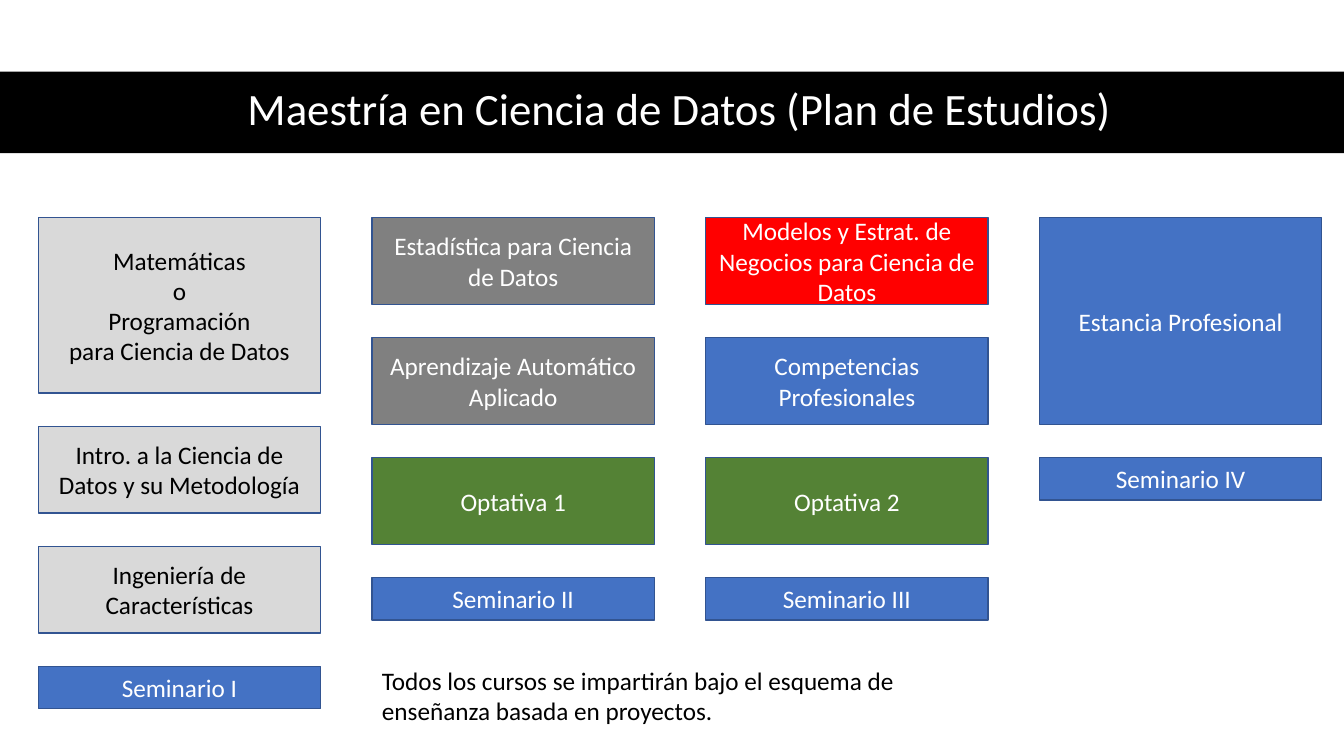
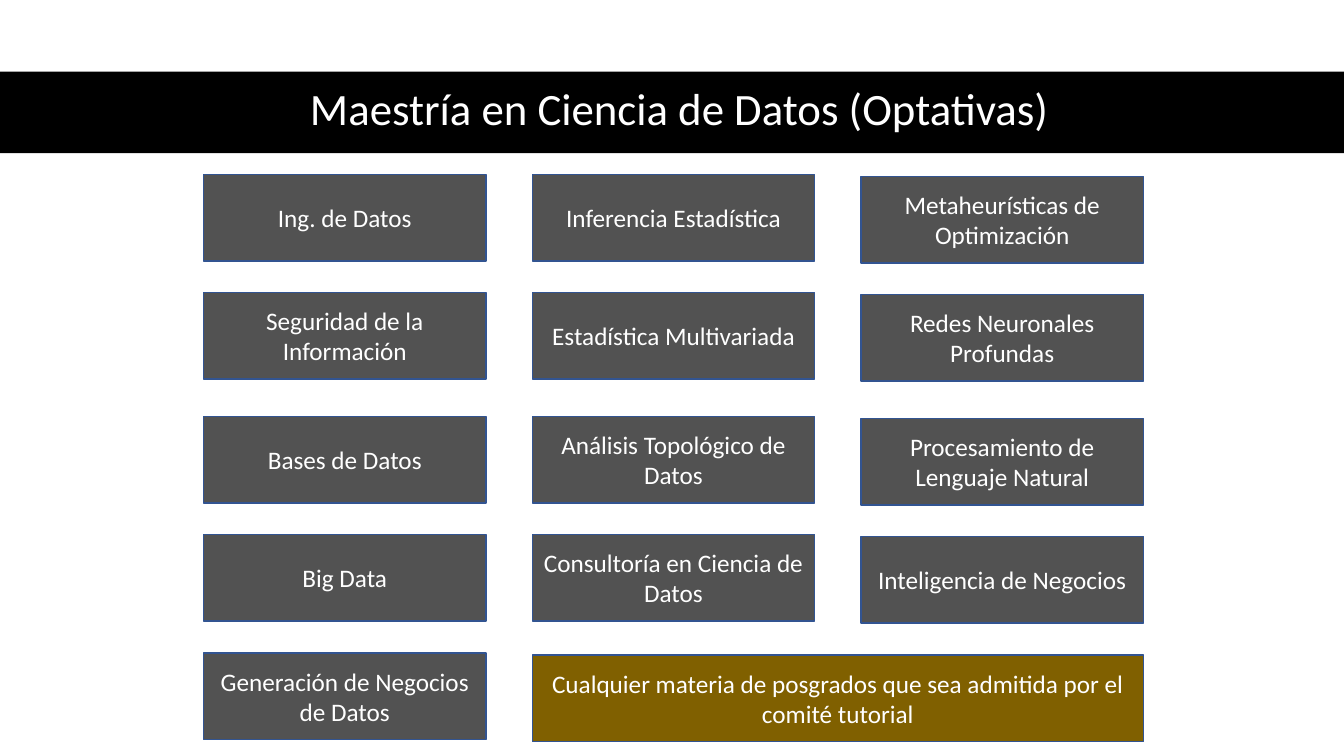
from dataclasses import dataclass

import pptx
import pptx.dml.color
import pptx.enum.shapes
import pptx.enum.text
import pptx.presentation
import pptx.shapes.autoshape
import pptx.slide
import pptx.util

ALIGN = pptx.enum.text.PP_ALIGN
ANCHOR = pptx.enum.text.MSO_ANCHOR


@dataclass(frozen=True)
class Theme:
    font: str = "Calibri"
    title_size: int = 32
    body_size: int = 18
    black: str = "000000"
    white: str = "FFFFFF"
    outline: str = "325491"
    basics: str = "D9D9D9"
    core: str = "808080"
    elective: str = "548235"
    business: str = "FF0000"
    practice: str = "4472C4"
    option: str = "525252"
    open_option: str = "806000"


@dataclass(frozen=True)
class Box:
    left: float
    top: float
    width: float
    height: float

    def emu(self) -> tuple[int, ...]:
        return tuple(pptx.util.Inches(v) for v in
                     (self.left, self.top, self.width, self.height))


@dataclass(frozen=True)
class Course:
    text: str
    fill: str
    height: float = 0.86
    color: str = "FFFFFF"


THEME = Theme()
SLIDE_W, SLIDE_H = 13.33, 7.5
BAND = Box(0, 0.71, SLIDE_W, 0.81)
TITLE = Box(0.61, 0.7, 12.26, 0.81)
CARD_W, CARD_H = 2.8, 0.86

# Study plan: one stack of courses per semester
PLAN_LEFT, PLAN_TOP, PLAN_PITCH, PLAN_GAP = 0.38, 2.16, 3.31, 0.33
SEMINAR_H = 0.42
NOTE = Box(PLAN_LEFT + PLAN_PITCH, 6.55, 6, 0.71)
NOTE_TEXT = ("Todos los cursos se impartirán bajo el esquema de enseñanza "
             "basada en proyectos.")


def basic(text: str, height: float = CARD_H) -> Course:
    return Course(text, THEME.basics, height, THEME.black)


def seminar(number: str) -> Course:
    return Course(f"Seminario {number}", THEME.practice, SEMINAR_H)


SEMESTERS = [
    [basic("Matemáticas\no\nProgramación\npara Ciencia de Datos", 1.74),
     basic("Intro. a la Ciencia de Datos y su Metodología"),
     basic("Ingeniería de Características"),
     seminar("I")],
    [Course("Estadística para Ciencia de Datos", THEME.core),
     Course("Aprendizaje Automático Aplicado", THEME.core),
     Course("Optativa 1", THEME.elective),
     seminar("II")],
    [Course("Modelos y Estrat. de Negocios para Ciencia de Datos", THEME.business),
     Course("Competencias Profesionales", THEME.practice),
     Course("Optativa 2", THEME.elective),
     seminar("III")],
    [Course("Estancia Profesional", THEME.practice, 2 * CARD_H + PLAN_GAP),
     seminar("IV")],
]

# Electives: a grid whose right-hand part sits slightly lower
OPTION_LEFT, OPTION_PITCH, OPTION_DROP = 2.02, 3.26, 0.02
OPTION_TOPS = (1.73, 2.9, 4.13, 5.3, 6.48)
OPTIONS = [
    ["Ing. de Datos", "Seguridad de la Información", "Bases de Datos",
     "Big Data", "Generación de Negocios de Datos"],
    ["Inferencia Estadística", "Estadística Multivariada",
     "Análisis Topológico de Datos", "Consultoría en Ciencia de Datos"],
    ["Metaheurísticas de Optimización", "Redes Neuronales Profundas",
     "Procesamiento de Lenguaje Natural", "Inteligencia de Negocios"],
]
OPEN_OPTION = ("Cualquier materia de posgrados que sea admitida por el "
               "comité tutorial")


def rgb(color: str) -> pptx.dml.color.RGBColor:
    return pptx.dml.color.RGBColor.from_string(color)


def write(sp: pptx.shapes.autoshape.Shape, text: str, color: str,
          size: int = THEME.body_size, align: ALIGN = ALIGN.CENTER,
          anchor: ANCHOR = ANCHOR.MIDDLE, spacing: float = 1.0) -> None:
    tf = sp.text_frame
    tf.text = text
    tf.word_wrap = True
    tf.vertical_anchor = anchor
    for p in tf.paragraphs:
        p.alignment = align
        p.line_spacing = spacing
        for r in p.runs:
            r.font.name = THEME.font
            r.font.size = pptx.util.Pt(size)
            r.font.color.rgb = rgb(color)


def add_rect(s: pptx.slide.Slide, box: Box, fill: str) -> pptx.shapes.autoshape.Shape:
    """Add a flat rectangle without an outline."""
    sp = s.shapes.add_shape(pptx.enum.shapes.MSO_SHAPE.RECTANGLE, *box.emu())
    sp.shadow.inherit = False
    sp.fill.solid()
    sp.fill.fore_color.rgb = rgb(fill)
    sp.line.fill.background()
    return sp


def add_card(s: pptx.slide.Slide, box: Box, course: Course) -> None:
    sp = add_rect(s, box, course.fill)
    sp.line.color.rgb = rgb(THEME.outline)
    sp.line.width = pptx.util.Pt(1)
    write(sp, course.text, course.color)


def add_titled_slide(prs: pptx.presentation.Presentation, title: str) -> pptx.slide.Slide:
    s = prs.slides.add_slide(prs.slide_layouts[6])
    add_rect(s, BAND, THEME.black)
    sp = s.shapes.add_textbox(*TITLE.emu())
    write(sp, title, THEME.white, THEME.title_size, spacing=0.9)
    return s


def build_plan(prs: pptx.presentation.Presentation) -> None:
    s = add_titled_slide(prs, "Maestría en Ciencia de Datos (Plan de Estudios)")
    for col, courses in enumerate(SEMESTERS):
        top = PLAN_TOP
        for course in courses:
            box = Box(PLAN_LEFT + col * PLAN_PITCH, top, CARD_W, course.height)
            add_card(s, box, course)
            top += course.height + PLAN_GAP
    sp = s.shapes.add_textbox(*NOTE.emu())
    write(sp, NOTE_TEXT, THEME.black, align=ALIGN.LEFT, anchor=ANCHOR.TOP)
    sp.text_frame.auto_size = pptx.enum.text.MSO_AUTO_SIZE.SHAPE_TO_FIT_TEXT


def build_options(prs: pptx.presentation.Presentation) -> None:
    s = add_titled_slide(prs, "Maestría en Ciencia de Datos (Optativas)")
    for col, names in enumerate(OPTIONS):
        drop = OPTION_DROP if col == len(OPTIONS) - 1 else 0
        for top, name in zip(OPTION_TOPS, names):
            box = Box(OPTION_LEFT + col * OPTION_PITCH, top + drop, CARD_W, CARD_H)
            add_card(s, box, Course(name, THEME.option))
    wide = Box(OPTION_LEFT + OPTION_PITCH, OPTION_TOPS[-1] + OPTION_DROP,
               OPTION_PITCH + CARD_W, CARD_H)
    add_card(s, wide, Course(OPEN_OPTION, THEME.open_option))


def main() -> None:
    prs = pptx.Presentation()
    prs.slide_width = pptx.util.Inches(SLIDE_W)
    prs.slide_height = pptx.util.Inches(SLIDE_H)
    build_plan(prs)
    build_options(prs)
    prs.save("out.pptx")


if __name__ == "__main__":
    main()
